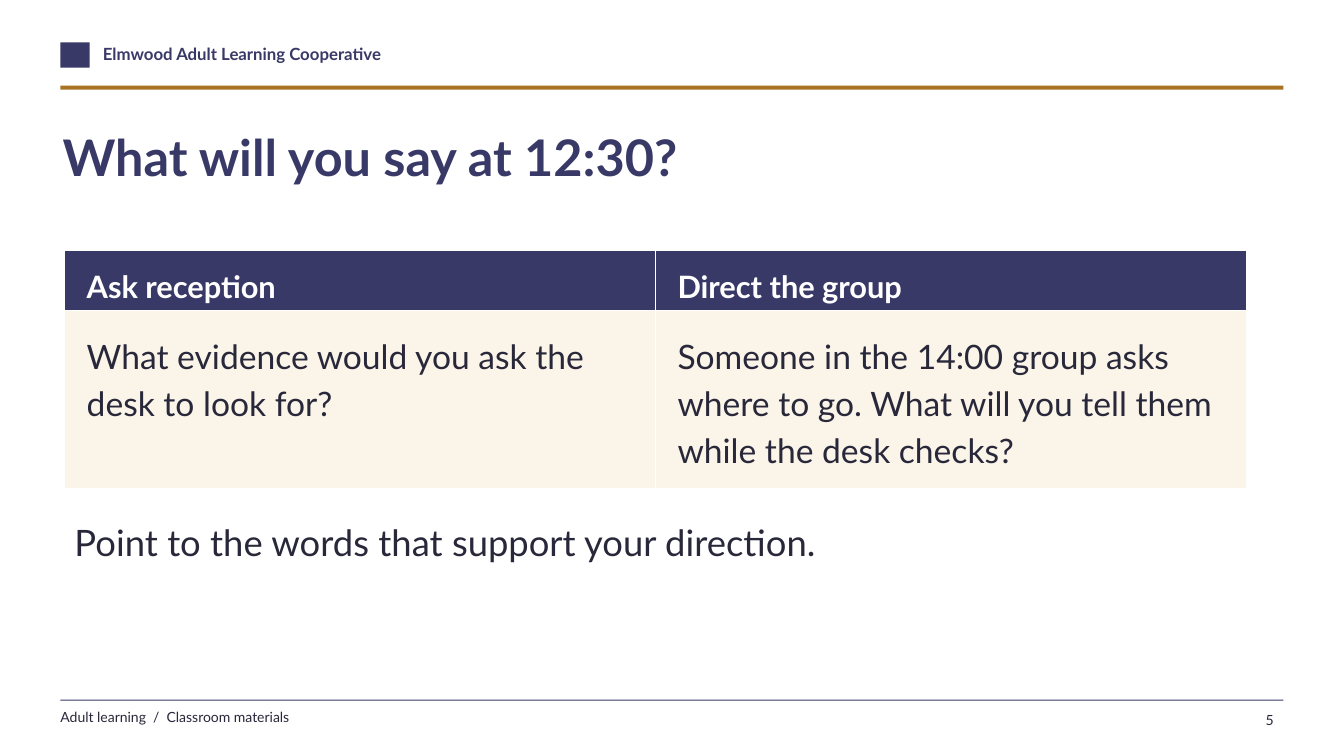
import pptx
import pptx.util
import pptx.dml.color
import pptx.enum.shapes
import pptx.enum.text
import pptx.oxml
import pptx.oxml.ns

SCALE = 9144
FONT = "Lato"
HUES = {"navy": "393967", "gold": "A87323", "ink": "29283A",
        "cream": "FAF4E9", "white": "FFFFFF"}
ALIGN = pptx.enum.text.PP_ALIGN


def px(*sizes):
    return [pptx.util.Emu(size * SCALE) for size in sizes]


def tint(hue):
    return pptx.dml.color.RGBColor.from_string(HUES[hue])


def write(frame, text, size, hue, bold=False, lead=1.17, after=0, align=ALIGN.LEFT):
    frame.word_wrap = True
    para = frame.paragraphs[0]
    para.alignment = align
    para.line_spacing = lead
    para.space_before = pptx.util.Pt(0)
    para.space_after = pptx.util.Pt(after)
    run = para.add_run()
    run.text = text
    run.font.name = FONT
    run.font.size = pptx.util.Pt(size)
    run.font.bold = bold
    run.font.color.rgb = tint(hue)


def inset(item, left, top, right, base):
    (item.margin_left, item.margin_top,
     item.margin_right, item.margin_bottom) = px(left, top, right, base)


def block(slide, box, hue):
    shape = slide.shapes.add_shape(pptx.enum.shapes.MSO_SHAPE.RECTANGLE, *px(*box))
    shape.shadow.inherit = False
    shape.fill.solid()
    shape.fill.fore_color.rgb = tint(hue)
    shape.line.fill.background()


def label(slide, box, text, size, hue, flush=False, **style):
    frame = slide.shapes.add_textbox(*px(*box)).text_frame
    if flush:
        inset(frame, 0, 0, 0, 0)
    write(frame, text, size, hue, **style)


def header(slide, box):
    left, top, width, height = box
    block(slide, (left, top, 29, 25), "navy")
    label(slide, (left + 42, top + 1, 600, 28), "Elmwood Adult Learning Cooperative",
          12, "navy", flush=True, bold=True, lead=1, after=4)
    block(slide, (left, top + height - 4, width, 4), "gold")


def footer(slide, box):
    left, top, width, height = box
    block(slide, (left, top, width, 1), "navy")
    label(slide, (left, top + 9, 700, 23), "Adult learning  /  Classroom materials",
          10, "ink", flush=True, lead=1, after=4)
    label(slide, (left + width - 75, top + 4, 75, 31), "5", 10, "ink", align=ALIGN.RIGHT)


def heading(slide, box, text):
    title = slide.shapes.title
    title.left, title.top, title.width, title.height = px(*box)
    frame = title.text_frame
    frame.auto_size = pptx.enum.text.MSO_AUTO_SIZE.NONE
    frame.vertical_anchor = pptx.enum.text.MSO_ANCHOR.TOP
    inset(frame, 0, 0, 0, 0)
    write(frame, text, 36, "navy", bold=True, after=8)


def border(cell):
    props = cell._tc.get_or_add_tcPr()
    for spot, side in enumerate(("lnL", "lnR", "lnT", "lnB")):
        props.insert(spot, pptx.oxml.parse_xml(
            f'<a:{side} {pptx.oxml.ns.nsdecls("a")} w="12700"><a:solidFill>'
            f'<a:srgbClr val="{HUES["white"]}"/></a:solidFill></a:{side}>'))


def prompts(slide, box, pairs):
    left, top, width, height = box
    table = slide.shapes.add_table(2, len(pairs), *px(*box)).table
    for row, size in zip(table.rows, px(57, height - 57)):
        row.height = size
    looks = [(12, 22, "white", True, "navy"), (19, 24, "ink", False, "cream")]
    for col, pair in enumerate(pairs):
        table.columns[col].width = px(width // len(pairs))[0]
        for row, (text, look) in enumerate(zip(pair, looks)):
            pad, size, hue, bold, back = look
            cell = table.cell(row, col)
            cell.fill.solid()
            cell.fill.fore_color.rgb = tint(back)
            inset(cell, 22, pad, 22, 5)
            write(cell.text_frame, text, size, hue, bold=bold)
            border(cell)


def main():
    deck = pptx.Presentation()
    deck.slide_width, deck.slide_height = px(1333, 750)
    slide = deck.slides.add_slide(deck.slide_layouts.get_by_name("Title Only"))
    header(slide, (60, 42, 1213, 47))
    heading(slide, (62, 115, 1200, 105), "What will you say at 12:30?")
    prompts(slide, (64, 248, 1172, 234), [
        ("Ask reception", "What evidence would you ask the desk to look for?"),
        ("Direct the group", "Someone in the 14:00 group asks where to go. "
                             "What will you tell them while the desk checks?"),
    ])
    label(slide, (64, 504, 1172, 110),
          "Point to the words that support your direction.", 26, "ink", after=8)
    footer(slide, (60, 694, 1213, 35))
    deck.save("out.pptx")


if __name__ == "__main__":
    main()
